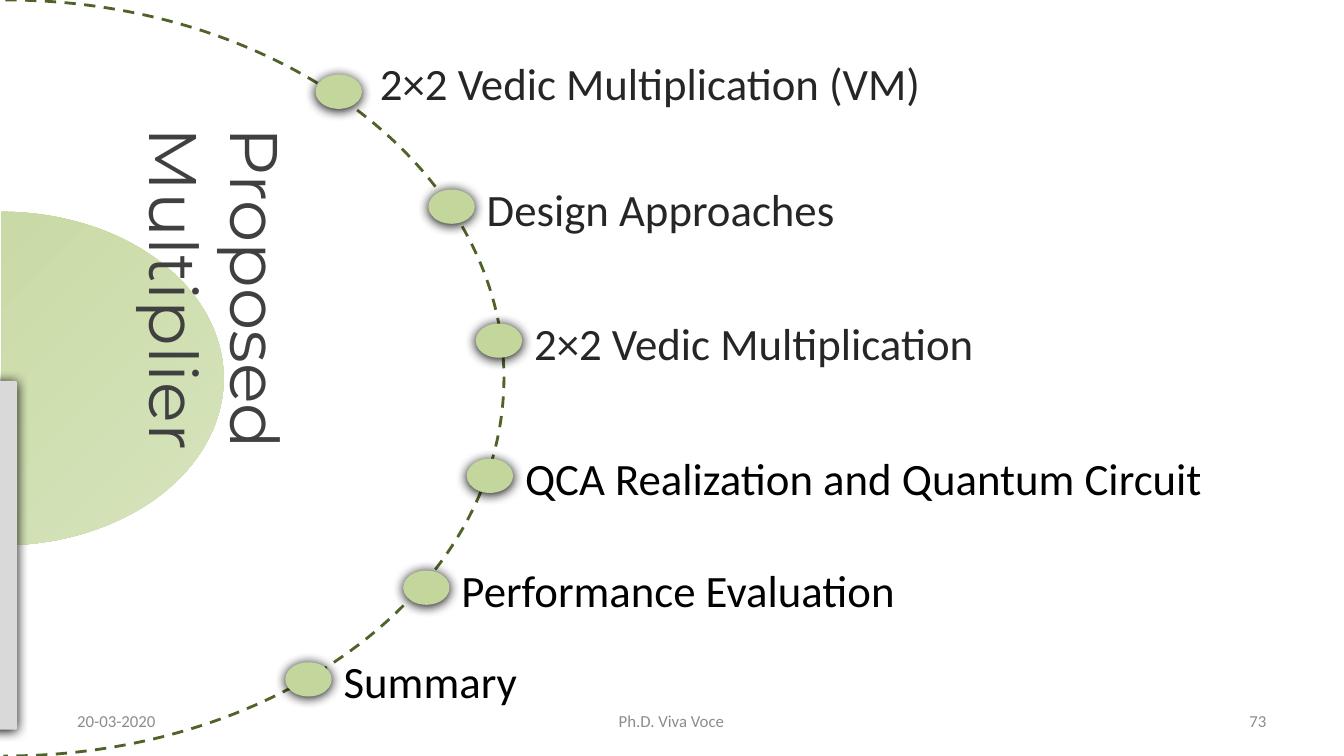
from dataclasses import dataclass
from lxml import etree
from pptx import Presentation
from pptx import util as u
from pptx.dml.color import RGBColor
from pptx.enum import dml, shapes, text
from pptx.oxml.ns import qn


@dataclass(frozen=True)
class Theme:
    body: str = "Calibri"
    display: str = "Montserrat"
    bullet: str = "C3D69B"
    pale: str = "D7E4BD"
    orbit: str = "4F6228"
    tab: str = "D9D9D9"
    title: str = "404040"
    dark: str = "262626"
    black: str = "000000"
    muted: str = "8C8C8C"
    title_size: int = 48
    label_size: int = 32
    footer_size: int = 12


T = Theme()
ALIGN = text.PP_ALIGN

TITLE = "Proposed Multiplier"
NEAR, HIGH = (3.6, -1.73), (4.05, -3.2)
TOPICS = [
    ("2×2 Vedic Multiplication (VM)", T.dark, (23.48, 9.87), HIGH, 50),
    ("Design Approaches", T.dark, (31.88, 25.07), NEAR, 49.5),
    ("2×2 Vedic Multiplication", T.dark, (35.4, 42.8), NEAR, 43),
    ("QCA Realization and Quantum Circuit", T.black, (34.73, 60.67), NEAR, 61.5),
    ("Performance Evaluation", T.black, (30, 75.47), NEAR, 48.6),
    ("Summary", T.black, (21.23, 87.6), NEAR, 48.6),
]
FOOTERS = [
    ("20-03-2020", 5, 23.33, ALIGN.LEFT),
    ("Ph.D. Viva Voce", 34.13, 31.65, ALIGN.CENTER),
    ("73", 71.63, 23.33, ALIGN.RIGHT),
]
DISC = (-16.43, 28, 33.08, 44.13)
ORBIT = (-36.68, 0, 74.18, 100)
TAB = (-1.28, 50.4, 2.55, 46.13)
TITLE_BOX = (-9.68, 26.13, 38.1, 46.67)
BULLET_SIZE = (3.45, 4.53)
LABEL_HEIGHT = 8.53
FOOTER_TOP, FOOTER_HEIGHT = 92.67, 5.33
HALF_TURN = (162, 54.18)

prs = Presentation()
prs.slide_width, prs.slide_height = u.Inches(13.33), u.Inches(7.5)
s = prs.slides.add_slide(prs.slide_layouts[6])


def place(box):
    sides = (prs.slide_width, prs.slide_height) * 2
    return [round(side * share / 100) for side, share in zip(sides, box)]


def rgb(value):
    return RGBColor.from_string(value)


def add_shape(kind, box, fill=None):
    sp = s.shapes.add_shape(kind, *place(box))
    sp.shadow.inherit = False
    sp.line.fill.background()
    if fill:
        sp.fill.solid()
        sp.fill.fore_color.rgb = rgb(fill)
    return sp


def add_arc(box):
    sp = add_shape(shapes.MSO_SHAPE.ARC, box)
    for i, value in enumerate(HALF_TURN):
        sp.adjustments[i] = value
    return sp


def add_shadow(sp):
    effects = sp._element.spPr.find(qn("a:effectLst"))
    shadow = etree.SubElement(
        effects, qn("a:outerShdw"), blurRad=str(u.Pt(8.5)),
        dist=str(u.Pt(1)), dir="5400000", algn="ctr", rotWithShape="0")
    etree.SubElement(shadow, qn("a:srgbClr"), val=T.black)


def add_text(words, box, font, size, color, align=ALIGN.LEFT,
             anchor=text.MSO_ANCHOR.TOP):
    sp = s.shapes.add_textbox(*place(box))
    tf = sp.text_frame
    tf.word_wrap = True
    tf.vertical_anchor = anchor
    tf.text = words
    p = tf.paragraphs[0]
    p.alignment = align
    r = p.runs[0]
    r.font.name, r.font.size = font, u.Pt(size)
    r.font.color.rgb = rgb(color)
    return sp


disc = add_arc(DISC)
disc.fill.gradient()
disc.fill.gradient_angle = 315
for stop, color, position in zip(disc.fill.gradient_stops, (T.bullet, T.pale), (0, 1)):
    stop.color.rgb = rgb(color)
    stop.position = position

tab = add_shape(shapes.MSO_SHAPE.ROUNDED_RECTANGLE, TAB, T.tab)
tab.adjustments[0] = 0.05
add_shadow(tab)

orbit = add_arc(ORBIT)
orbit.fill.background()
orbit.line.color.rgb = rgb(T.orbit)
orbit.line.width = u.Pt(2)
orbit.line.dash_style = dml.MSO_LINE.DASH

title = add_text(TITLE, TITLE_BOX, T.display, T.title_size, T.title)
title.rotation = 90

for words, color, (x, y), (dx, dy), width in TOPICS:
    add_shadow(add_shape(shapes.MSO_SHAPE.OVAL, (x, y, *BULLET_SIZE), T.bullet))
    add_text(words, (x + dx, y + dy, width, LABEL_HEIGHT),
             T.body, T.label_size, color)

for words, x, width, align in FOOTERS:
    add_text(words, (x, FOOTER_TOP, width, FOOTER_HEIGHT), T.body,
             T.footer_size, T.muted, align, text.MSO_ANCHOR.MIDDLE)

prs.save("out.pptx")
